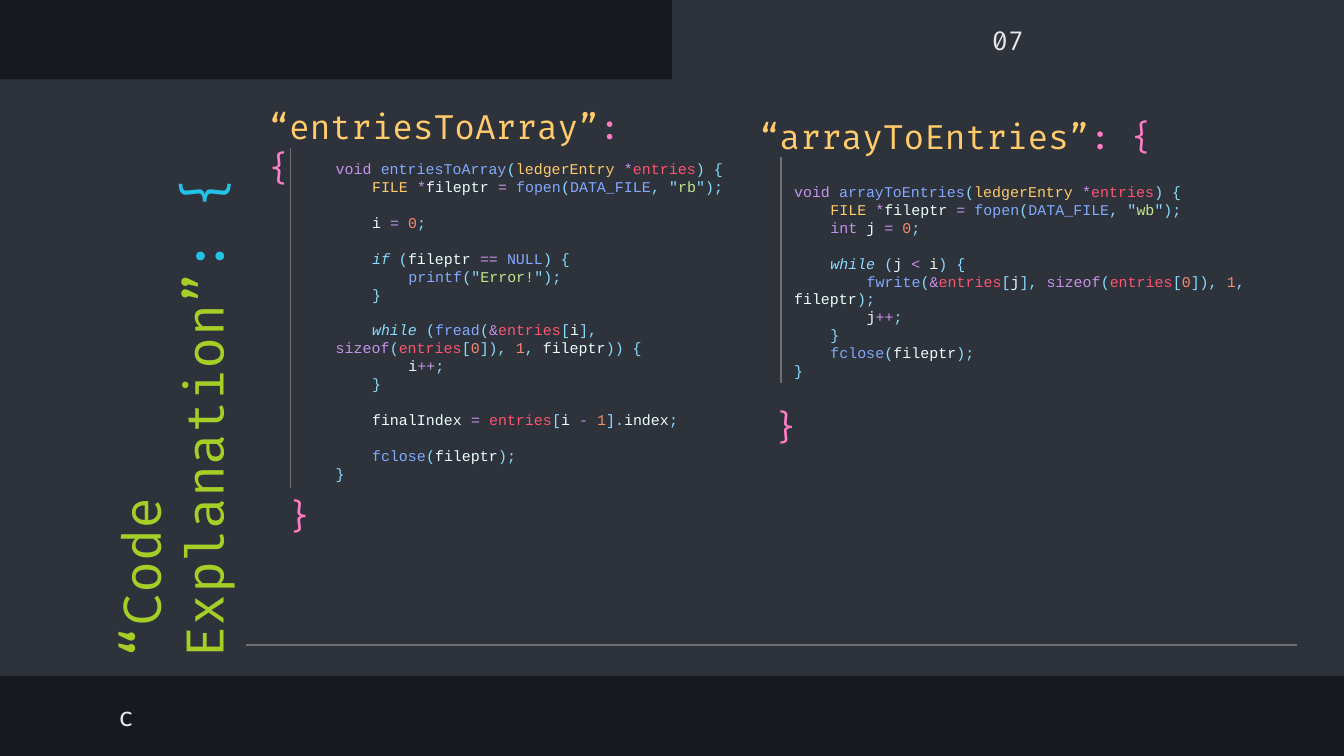
from itertools import groupby
from lxml.etree import SubElement
from pptx import Presentation
from pptx.dml.color import RGBColor
from pptx.enum.shapes import MSO_CONNECTOR, MSO_SHAPE
from pptx.enum.text import MSO_ANCHOR, PP_ALIGN
from pptx.oxml.ns import qn
from pptx.util import Inches, Pt

PANEL, LIGHT, GRAY = "2E323B", "E7E7E7", "707070"
GREEN, BLUE, PINK, YELLOW = "A5CF27", "22C3E7", "FF7DC4", "FFCB6B"

# Syntax colours: any other word is plain, any other sign is punctuation
PLAIN, PUNCTUATION, KEYWORD, FUNCTION = "EEFFFF", "89DDFF", "C792EA", "82AAFF"
NUMBER, STRING, VARIABLE = "F78C6C", "C3E88D", "FF5370"
OPERATORS = "*=+-<&"
FLOW_WORDS = ("if", "while")
WORD_COLORS = {
    word: color
    for color, words in {
        KEYWORD: "void int sizeof",
        FUNCTION: "entriesToArray arrayToEntries fopen fread fwrite fclose printf DATA_FILE NULL",
        YELLOW: "ledgerEntry FILE",
        VARIABLE: "entries",
        NUMBER: "0 1",
        STRING: "rb wb Error!",
        PUNCTUATION: "if while",
    }.items()
    for word in words.split()
}
INDENT = 0.27  # four characters of code
BLANK_LINE = Pt(9.6)

ENTRIES_TO_ARRAY = """void entriesToArray(ledgerEntry *entries) {
    FILE *fileptr = fopen(DATA_FILE, "rb");

    i = 0;

    if (fileptr == NULL) {
        printf("Error!");
    }

    while (fread(&entries[i], sizeof(entries[0]), 1, fileptr)) {
        i++;
    }

    finalIndex = entries[i - 1].index;

    fclose(fileptr);
}"""

ARRAY_TO_ENTRIES = """void arrayToEntries(ledgerEntry *entries) {
    FILE *fileptr = fopen(DATA_FILE, "wb");
    int j = 0;

    while (j < i) {
        fwrite(&entries[j], sizeof(entries[0]), 1, fileptr);
        j++;
    }
    fclose(fileptr);
}"""


def rgb(color):
    return RGBColor.from_string(color)


def add_text(box, size, runs, inset=0.1):
    """Write coloured runs into the first paragraph of a box."""
    frame = box.text_frame
    frame.word_wrap = True
    frame.margin_left = Inches(inset)
    frame.margin_top = frame.margin_right = frame.margin_bottom = Inches(0.1)
    paragraph = frame.paragraphs[0]
    paragraph.alignment = PP_ALIGN.LEFT
    paragraph.font.name = "Fira Code"
    paragraph.font.size = Pt(size)
    for text, color in runs:
        run = paragraph.add_run()
        run.text = text
        run.font.color.rgb = rgb(color)
    return frame


presentation = Presentation()
presentation.slide_width = Inches(10)
presentation.slide_height = Inches(10) * 9 // 16
slide = presentation.slides.add_slide(presentation.slide_layouts[6])
shapes = slide.shapes
slide.background.fill.solid()
slide.background.fill.fore_color.rgb = rgb("16191F")

# Panels; the last one carries the title, turned to read upwards
for bounds in ((0, 0.59, 10, 4.44), (5, 0, 5, 0.65), (-0.91, 2.19, 4.37, 1.24)):
    panel = shapes.add_shape(MSO_SHAPE.RECTANGLE, *map(Inches, bounds))
    panel.shadow.inherit = False
    panel.fill.solid()
    panel.fill.fore_color.rgb = rgb(PANEL)
    panel.line.fill.background()
panel.rotation = 270
title = add_text(panel, 28, [("“Code Explanation”", GREEN), (": {", BLUE)])
title.vertical_anchor = MSO_ANCHOR.MIDDLE

# Language label and page number
for text, left, top, width, alignment in (
    ("c", 0.78, 5.13, 5.32, PP_ALIGN.LEFT),
    ("07", 5, 0.1, 5, PP_ALIGN.CENTER),
):
    box = shapes.add_textbox(Inches(left), Inches(top), Inches(width), Inches(0.39))
    label = add_text(box, 14, [(text, LIGHT)])
    label.vertical_anchor = MSO_ANCHOR.MIDDLE
    label.paragraphs[0].alignment = alignment

# Headings with opening braces
for name, left, top, width in (
    ("“entriesToArray”", 1.9, 0.69, 3.1),
    ("“arrayToEntries”", 5.55, 0.76, 3.36),
):
    box = shapes.add_textbox(Inches(left), Inches(top), Inches(width), Inches(0.47))
    add_text(box, 18, [(name, YELLOW), (": {", PINK)])

# Closing braces
for left, top in ((1.9, 3.58), (5.52, 2.92)):
    box = shapes.add_textbox(Inches(left), Inches(top), Inches(2.61), Inches(0.47))
    add_text(box, 18, [("}", PINK)], inset=0.25)

# Code listings
for code, bounds in (
    (ENTRIES_TO_ARRAY, (2.4, 1.14, 3.36, 2.59)),
    (ARRAY_TO_ENTRIES, (5.81, 1.31, 3.65, 1.85)),
):
    frame = shapes.add_textbox(*map(Inches, bounds)).text_frame
    frame.word_wrap = True
    paragraph = frame.paragraphs[0]
    after_blank = False
    for number, line in enumerate(code.splitlines()):
        if not line:
            after_blank = True
            continue
        if number:
            paragraph = frame.add_paragraph()
        paragraph.font.name = "Courier New"
        paragraph.font.size = Pt(8)
        if after_blank:
            paragraph.space_before = BLANK_LINE
            after_blank = False
        # First-line indent, so that wrapped lines return to the margin
        statement = line.lstrip()
        level = (len(line) - len(statement)) // 4
        properties = paragraph._p.get_or_add_pPr()
        properties.set("marL", "0")
        properties.set("indent", str(Inches(INDENT * level)))
        # Split into words, operators, spaces and punctuation
        for (is_word, is_operator, _), characters in groupby(
            statement, lambda c: (c.isalnum() or c in "_!", c in OPERATORS, c == " ")
        ):
            token = "".join(characters)
            run = paragraph.add_run()
            run.text = token
            if is_word:
                color = WORD_COLORS.get(token, PLAIN)
            else:
                color = KEYWORD if is_operator else PUNCTUATION
            run.font.color.rgb = rgb(color)
            if token in FLOW_WORDS:
                run.font.italic = True

# Rule at the foot and guides beside the listings
for ends in (
    (9.65, 4.8, 1.83, 4.8),
    (2.16, 1.1, 2.16, 3.63),
    (5.81, 1.17, 5.81, 2.85),
):
    rule = shapes.add_connector(MSO_CONNECTOR.STRAIGHT, *map(Inches, ends))
    rule.line.color.rgb = rgb(GRAY)
    rule.line.width = Pt(0.75)
    SubElement(rule._element.spPr, qn("a:effectLst"))

presentation.save("out.pptx")
